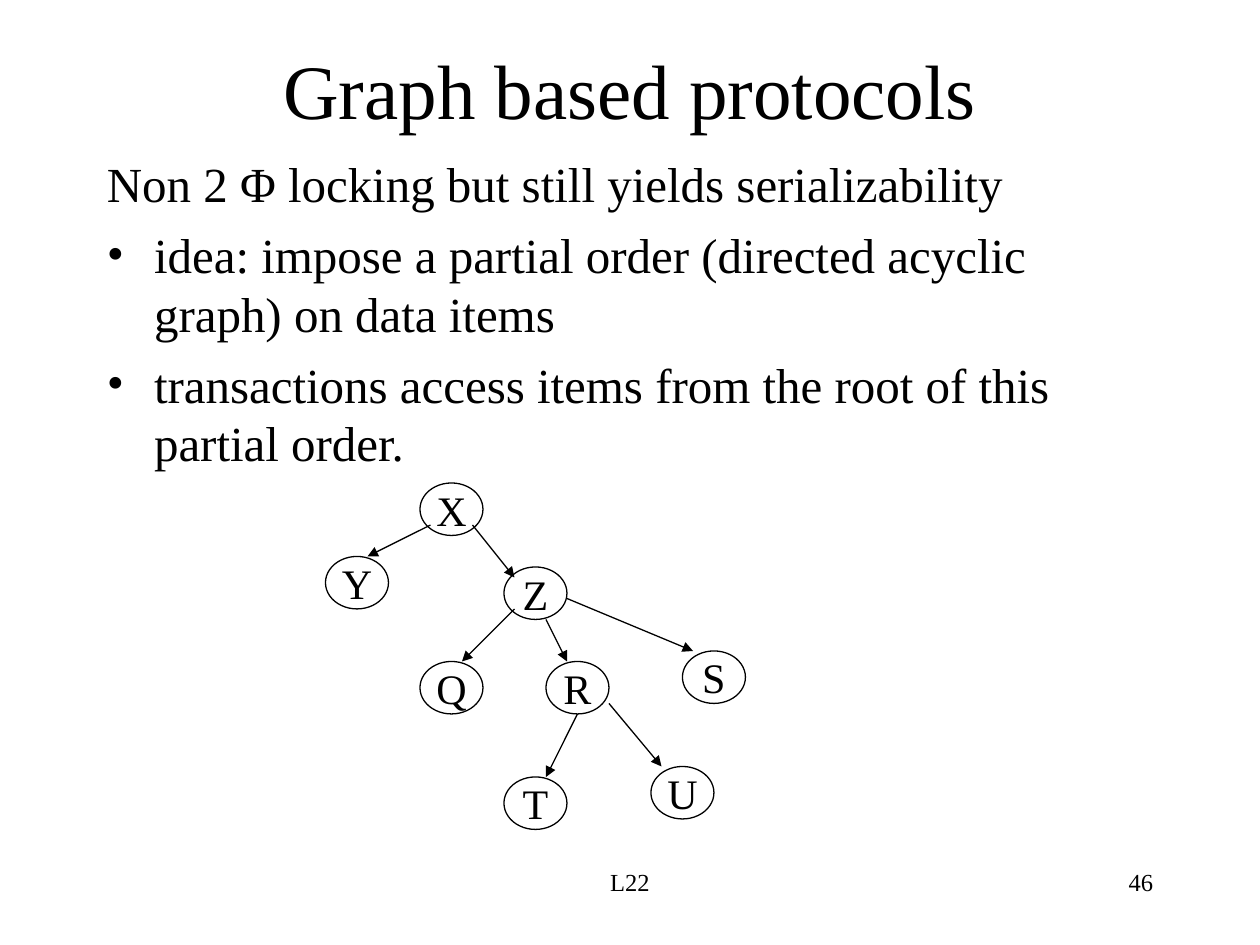
from lxml.etree import SubElement
from pptx import Presentation
from pptx.dml.color import RGBColor
from pptx.enum.shapes import MSO_CONNECTOR, MSO_SHAPE
from pptx.enum.text import MSO_ANCHOR, PP_ALIGN
from pptx.oxml.ns import qn
from pptx.util import Pt

BLACK = RGBColor(0, 0, 0)
WHITE = RGBColor(255, 255, 255)
FONT = "Times New Roman"
HANGING_INDENT = 27
NODE_WIDTH, NODE_HEIGHT = 36, 30

TITLE = "Graph based protocols"
# (text, has bullet)
BODY = [
    ("Non 2 Φ locking but still yields serializability", False),
    ("idea: impose a partial order (directed acyclic graph) on data items", True),
    ("transactions access items from the root of this partial order.", True),
]
# Item: (left, top)
NODES = {
    "U": (372, 438),
    "X": (240, 276),
    "T": (288, 444),
    "S": (390, 372),
    "R": (312, 378),
    "Q": (240, 378),
    "Z": (288, 324),
    "Y": (186, 318),
}
# (parent, offset from its top left, child, offset from its top left)
EDGES = [
    ("X", (6, 24), "Y", (24, 0)),
    ("X", (30, 24), "Z", (6, 6)),
    ("Z", (6, 24), "Q", (24, 0)),
    ("Z", (24, 30), "R", (12, 0)),
    ("Z", (36, 18), "S", (6, 0)),
    ("R", (18, 30), "T", (24, 0)),
    ("R", (36, 24), "U", (6, 0)),
]
# (text, left, top, width, height, alignment)
FOOTERS = [
    ("L22", 246, 492, 228, 36, PP_ALIGN.CENTER),
    ("46", 516, 492, 150, 36, PP_ALIGN.RIGHT),
]


def write(paragraph, text, size, alignment):
    paragraph.alignment = alignment
    run = paragraph.add_run()
    run.text = text
    run.font.name = FONT
    run.font.size = Pt(size)
    run.font.color.rgb = BLACK


def add_frame(slide, left, top, width, height, anchor=MSO_ANCHOR.TOP):
    frame = slide.shapes.add_textbox(
        Pt(left), Pt(top), Pt(width), Pt(height)).text_frame
    frame.word_wrap = True
    frame.vertical_anchor = anchor
    return frame


def add_body(slide):
    frame = add_frame(slide, 54, 84, 612, 396)
    for index, (text, bulleted) in enumerate(BODY):
        paragraph = frame.add_paragraph() if index else frame.paragraphs[0]
        if index:
            paragraph.space_before = Pt(7)
        properties = paragraph._p.get_or_add_pPr()
        properties.set("marL", str(Pt(HANGING_INDENT)))
        properties.set("indent", str(-Pt(HANGING_INDENT)))
        if bulleted:
            SubElement(properties, qn("a:buFont"), typeface=FONT)
            SubElement(properties, qn("a:buChar"), char="•")
        else:
            SubElement(properties, qn("a:buNone"))
        write(paragraph, text, 28, PP_ALIGN.LEFT)


def add_node(slide, item, left, top):
    node = slide.shapes.add_shape(
        MSO_SHAPE.OVAL, Pt(left), Pt(top), Pt(NODE_WIDTH), Pt(NODE_HEIGHT))
    node.shadow.inherit = False
    node.fill.solid()
    node.fill.fore_color.rgb = WHITE
    node.line.color.rgb = BLACK
    node.line.width = Pt(0.75)
    node.text_frame.word_wrap = False
    node.text_frame.vertical_anchor = MSO_ANCHOR.MIDDLE
    write(node.text_frame.paragraphs[0], item, 24, PP_ALIGN.CENTER)


def add_edge(slide, parent, start, child, end):
    points = [Pt(corner + offset)
              for item, offsets in ((parent, start), (child, end))
              for corner, offset in zip(NODES[item], offsets)]
    edge = slide.shapes.add_connector(MSO_CONNECTOR.STRAIGHT, *points)
    edge.line.color.rgb = BLACK
    edge.line.width = Pt(0.75)
    SubElement(edge.line._get_or_add_ln(), qn("a:tailEnd"), type="triangle")
    SubElement(edge._element.spPr, qn("a:effectLst"))


def main():
    deck = Presentation()
    deck.slide_width, deck.slide_height = Pt(720), Pt(540)
    slide = deck.slides.add_slide(deck.slide_layouts[6])

    title = add_frame(slide, 54, 18, 612, 66, MSO_ANCHOR.MIDDLE)
    write(title.paragraphs[0], TITLE, 44, PP_ALIGN.CENTER)
    add_body(slide)
    for item, corner in NODES.items():
        add_node(slide, item, *corner)
    for edge in EDGES:
        add_edge(slide, *edge)
    for text, left, top, width, height, alignment in FOOTERS:
        footer = add_frame(slide, left, top, width, height)
        write(footer.paragraphs[0], text, 14, alignment)

    deck.save("out.pptx")


if __name__ == "__main__":
    main()
